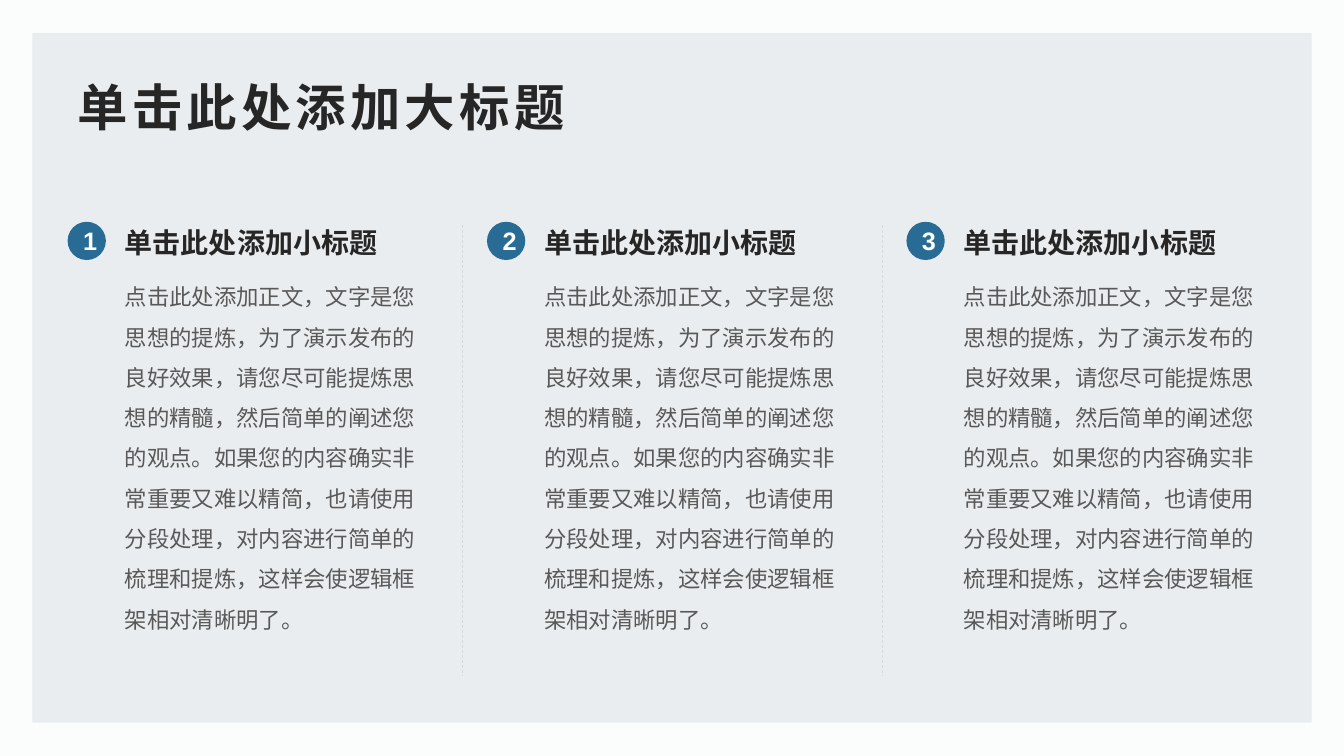
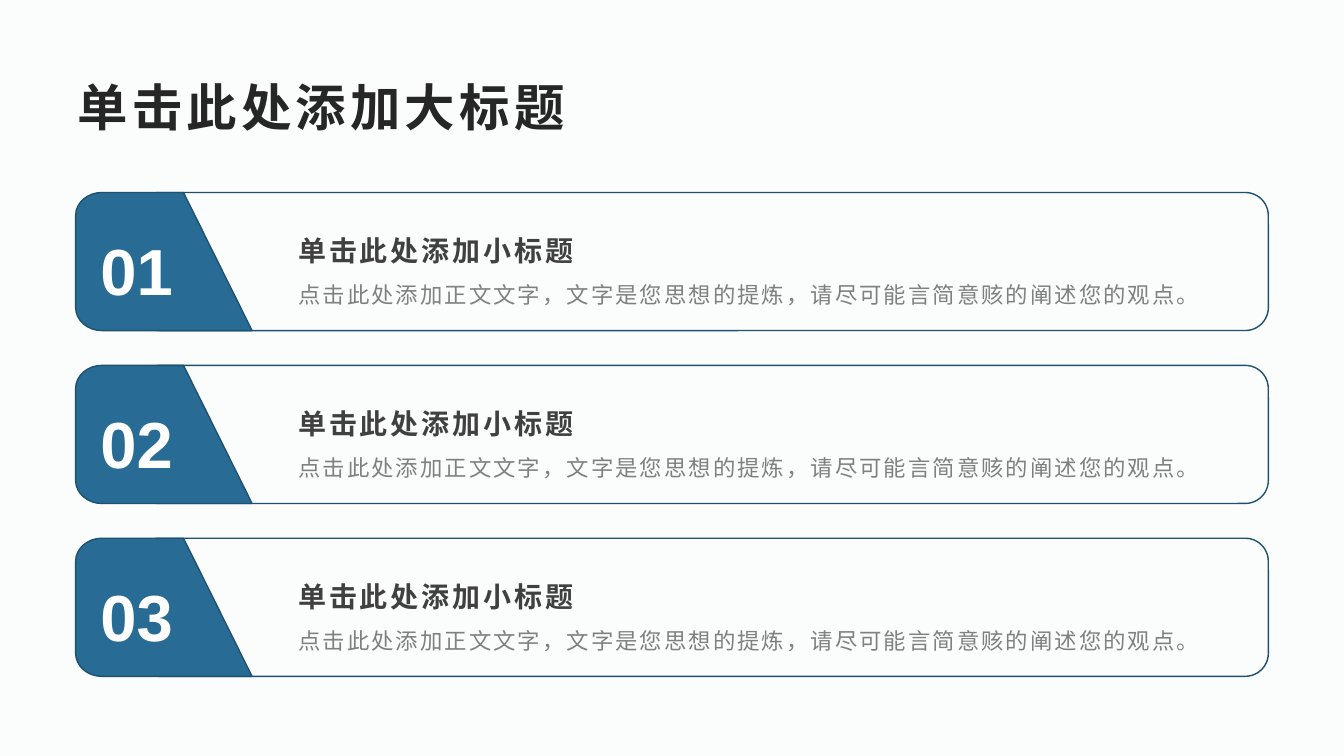
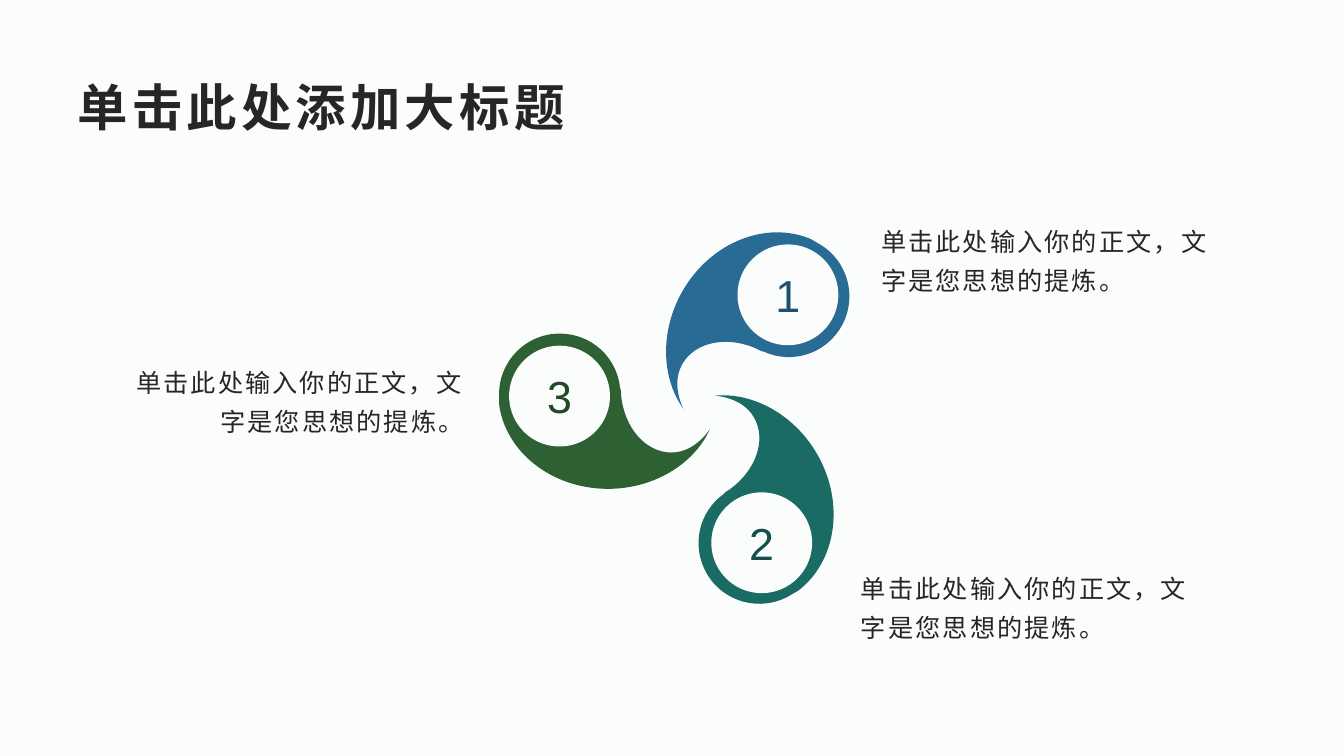
from dataclasses import dataclass
from math import cos, radians, sin

from lxml.etree import SubElement
from pptx import Presentation
from pptx.dml.color import RGBColor
from pptx.enum.dml import MSO_LINE
from pptx.enum.shapes import MSO_CONNECTOR, MSO_SHAPE
from pptx.enum.text import MSO_ANCHOR, MSO_AUTO_SIZE, PP_ALIGN
from pptx.oxml.ns import qn
from pptx.util import Inches, Pt


@dataclass(frozen=True)
class Theme:
    # Colours
    paper: str = "FBFCFC"
    panel: str = "EAEDEF"
    rule: str = "D9D9D9"
    ink: str = "262626"
    head: str = "404040"
    body: str = "595959"
    soft: str = "808080"
    white: str = "FFFFFF"
    blue: str = "286C95"
    navy: str = "1E5170"
    teal: str = "196B64"
    pine: str = "13504B"
    green: str = "2D6033"
    moss: str = "224826"
    # Type
    font: str = "Arial"
    title: float = 36
    sub: float = 20
    note: float = 18
    text: float = 16
    badge: float = 18
    digit: float = 32
    number: float = 46.5


T = Theme()
TITLE = "单击此处添加大标题"
HEAD = "单击此处添加小标题"
ESSAY = ("点击此处添加正文，文字是您思想的提炼，为了演示发布的良好效果，"
         "请您尽可能提炼思想的精髓，然后简单的阐述您的观点。"
         "如果您的内容确实非常重要又难以精简，也请使用分段处理，"
         "对内容进行简单的梳理和提炼，这样会使逻辑框架相对清晰明了。")
BRIEF = "点击此处添加正文文字，文字是您思想的提炼，请尽可能言简意赅的阐述您的观点。"
NOTE = "单击此处输入你的正文，文字是您思想的提炼。"

# Outlines in inches: two numbers make a line, six make a curve
TAB = [(0.26, 0), (1.07, 0), (1.75, 1.37), (0.26, 1.37),
       (0.12, 1.37, 0, 1.27, 0, 1.14), (0, 0.23),
       (0, 0.1, 0.12, 0, 0.26, 0)]
SWIRL = [(0.6, 0), (0.27, 0, 0, 0.27, 0, 0.6),
         (0, 0.62, 0, 0.64, 0, 0.66), (0, 0.67), (0, 0.7),
         (0.06, 1.17, 0.52, 1.54, 1.08, 1.54),
         (1.53, 1.54, 1.92, 1.3, 2.08, 0.97), (2.09, 0.95), (2.06, 0.99),
         (1.97, 1.1, 1.85, 1.18, 1.71, 1.18),
         (1.45, 1.18, 1.24, 0.93, 1.21, 0.61),
         (1.21, 0.61, 1.21, 0.55, 1.2, 0.54),
         (1.17, 0.24, 0.92, 0, 0.6, 0)]


def rgb(code):
    return RGBColor.from_string(code)


def write(shape, text, size, color, bold=False, gap=0, lead=None,
          align=PP_ALIGN.LEFT, anchor=MSO_ANCHOR.TOP):
    """Set one styled paragraph; gap is letter spacing in points."""
    frame = shape.text_frame
    frame.word_wrap = True
    frame.auto_size = MSO_AUTO_SIZE.NONE
    frame.vertical_anchor = anchor
    para = frame.paragraphs[0]
    para.text = text
    para.alignment = align
    if lead:
        para.line_spacing = lead
    font = para.font
    font.size, font.bold, font.name = Pt(size), bold, T.font
    font.color.rgb = rgb(color)
    props = para._p.pPr.find(qn("a:defRPr"))
    SubElement(props, qn("a:ea")).set("typeface", T.font)
    if gap:
        props.set("spc", str(int(gap * 100)))


def label(slide, box, text, size, color, **style):
    area = slide.shapes.add_textbox(*map(Inches, box))
    write(area, text, size, color, **style)


def paint(shape, fill=None, line=None):
    shape.shadow.inherit = False
    if fill:
        shape.fill.solid()
        shape.fill.fore_color.rgb = rgb(fill)
    else:
        shape.fill.background()
    if line:
        shape.line.color.rgb = rgb(line)
        shape.line.width = Pt(1)
    else:
        shape.line.fill.background()
    return shape


def block(slide, kind, box, fill=None, line=None):
    shape = slide.shapes.add_shape(kind, *map(Inches, box))
    return paint(shape, fill, line)


def bend(shape, parts):
    """Join each run of three line ends that belongs to a curve."""
    ends = iter(list(shape._element.iter(qn("a:lnTo"))))
    for part in parts:
        first = next(ends)
        if len(part) == 6:
            first.tag = qn("a:cubicBezTo")
            for _ in range(2):
                extra = next(ends)
                first.append(extra[0])
                extra.getparent().remove(extra)


def outline(slide, left, top, parts, fill, line=None):
    points = [(Inches(left + x), Inches(top + y))
              for part in parts for x, y in zip(part[::2], part[1::2])]
    form = slide.shapes.build_freeform(*points[0])
    form.add_line_segments(points[1:], close=True)
    shape = form.convert_to_shape()
    bend(shape, parts[1:])
    return paint(shape, fill, line)


def divide(slide, x, top, end):
    rule = slide.shapes.add_connector(
        MSO_CONNECTOR.STRAIGHT, *map(Inches, (x, top, x, end)))
    rule.line.color.rgb = rgb(T.rule)
    rule.line.width = Pt(0.5)
    rule.line.dash_style = MSO_LINE.DASH
    SubElement(rule._element.spPr, qn("a:effectLst"))


def start(deck):
    """Add a slide with the shared title."""
    slide = deck.slides.add_slide(deck.slide_layouts[5])
    write(slide.shapes.title, TITLE, T.title, T.ink, bold=True, gap=3,
          anchor=MSO_ANCHOR.MIDDLE)
    return slide


# Slide 1: numbered columns on a panel
def column(slide, left, top, number):
    label(slide, (left + 0.47, top + 0.43, 3.2, 4.2), ESSAY, T.text, T.body,
          lead=1.5)
    label(slide, (left + 0.47, top - 0.01, 3.2, 0.44), HEAD, T.sub, T.ink,
          bold=True)
    badge = block(slide, MSO_SHAPE.OVAL, (left, top, 0.38, 0.38), T.blue)
    write(badge, str(number), T.badge, T.white, bold=True,
          align=PP_ALIGN.CENTER, anchor=MSO_ANCHOR.MIDDLE)


def columns(deck):
    slide = start(deck)
    panel = block(slide, MSO_SHAPE.RECTANGLE, (0.32, 0.33, 12.69, 6.84),
                  T.panel)
    slide.shapes.title._element.addprevious(panel._element)
    left, top, pitch = 0.67, 2.2, 4.16
    for n in range(3):
        x = left + n * pitch
        column(slide, x, top, n + 1)
        if n:
            divide(slide, x - 0.24, top + 0.03, top + 4.5)


# Slide 2: stacked bars with slanted number tabs
def bar(slide, left, top, number):
    block(slide, MSO_SHAPE.ROUNDED_RECTANGLE,
          (left + 0.6, top, 11.23, 1.37), line=T.navy)
    outline(slide, left, top, TAB, T.blue, T.navy)
    label(slide, (left + 2.11, top + 0.78, 8.95, 0.4), BRIEF, T.text, T.soft,
          gap=1.5, lead=1.2)
    label(slide, (left + 2.11, top + 0.29, 8.95, 0.47), HEAD, T.sub, T.head,
          bold=True, gap=2, lead=1.2)
    label(slide, (left + 0.12, top + 0.13, 0.97, 1.11), f"{number:02}",
          T.number, T.white, bold=True, lead=1.2, align=PP_ALIGN.CENTER,
          anchor=MSO_ANCHOR.MIDDLE)


def bars(deck):
    slide = start(deck)
    first, last = 1.91, 5.34
    for n in range(3):
        bar(slide, 0.75, first + n * (last - first) / 2, n + 1)


# Slide 3: one swirl turned in steps of 120 degrees
def petal(slide, left, top, turn, number, fill, ink):
    swirl = outline(slide, left, top, SWIRL, fill)
    swirl.rotation = turn
    # The disc turns with the swirl about its middle
    dx, dy = -0.45, -0.15
    c, s = cos(radians(turn)), sin(radians(turn))
    x = left + 1.05 + dx * c - dy * s
    y = top + 0.77 + dx * s + dy * c
    disc = block(slide, MSO_SHAPE.OVAL, (x - 0.5, y - 0.5, 1, 1), T.paper)
    frame = disc.text_frame
    frame.margin_left = frame.margin_right = 0
    frame.margin_top = frame.margin_bottom = 0
    write(disc, str(number), T.digit, ink, align=PP_ALIGN.CENTER,
          anchor=MSO_ANCHOR.MIDDLE)


def wheel(deck):
    slide = start(deck)
    petals = [
        (4.95, 3.31, 0, 3, T.green, T.moss),
        (6.41, 2.47, 120, 1, T.blue, T.navy),
        (6.41, 4.15, 240, 2, T.teal, T.pine),
    ]
    for item in petals:
        petal(slide, *item)
    notes = [(8.64, 2.12, PP_ALIGN.LEFT, MSO_ANCHOR.MIDDLE),
             (8.44, 5.55, PP_ALIGN.LEFT, MSO_ANCHOR.TOP),
             (1.15, 3.52, PP_ALIGN.RIGHT, MSO_ANCHOR.MIDDLE)]
    for left, top, align, anchor in notes:
        label(slide, (left, top, 3.55, 0.85), NOTE, T.note, T.ink, gap=1.5,
              lead=1.3, align=align, anchor=anchor)


def main():
    deck = Presentation()
    deck.slide_width, deck.slide_height = Inches(13.33), Inches(7.5)
    # Shared background and title place
    back = deck.slide_master.background.fill
    back.solid()
    back.fore_color.rgb = rgb(T.paper)
    title = deck.slide_layouts[5].placeholders[0]
    title.left, title.top = Inches(0.67), Inches(0.67)
    title.width, title.height = Inches(12), Inches(0.77)
    for make in (columns, bars, wheel):
        make(deck)
    deck.save("out.pptx")


if __name__ == "__main__":
    main()
